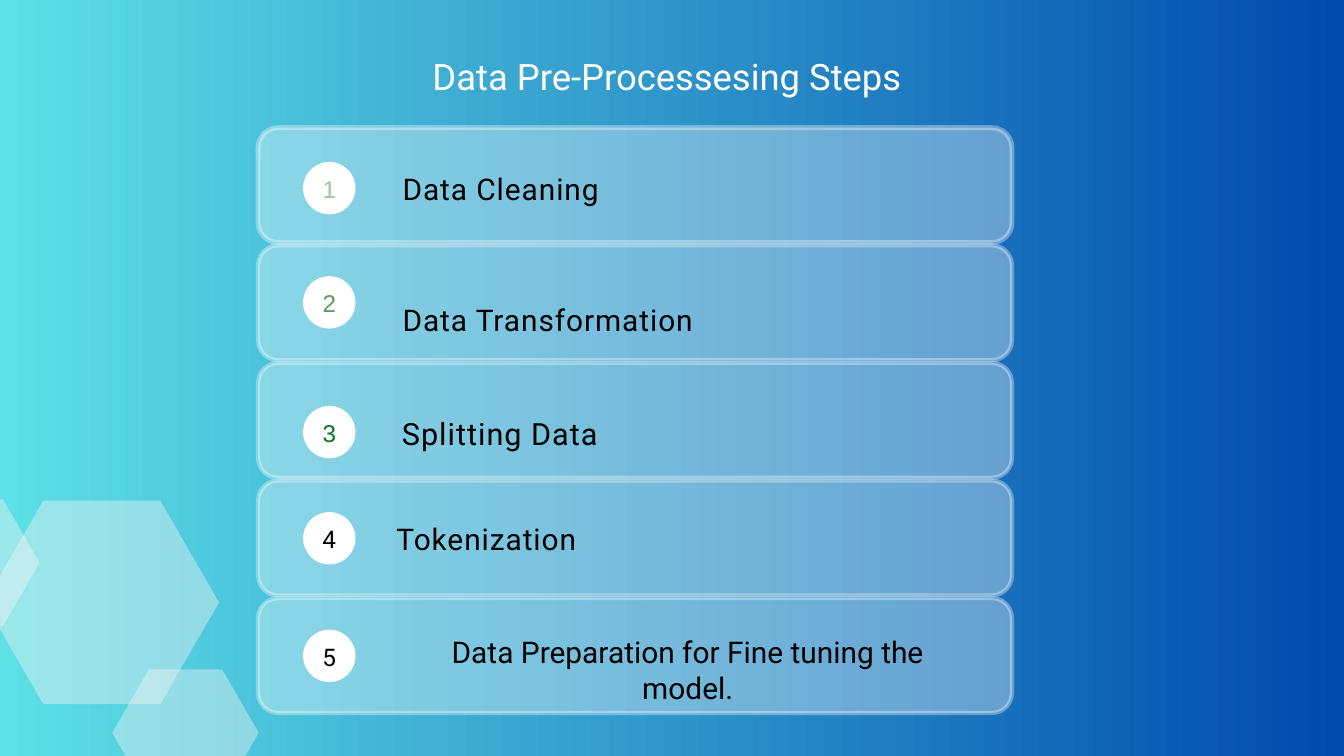
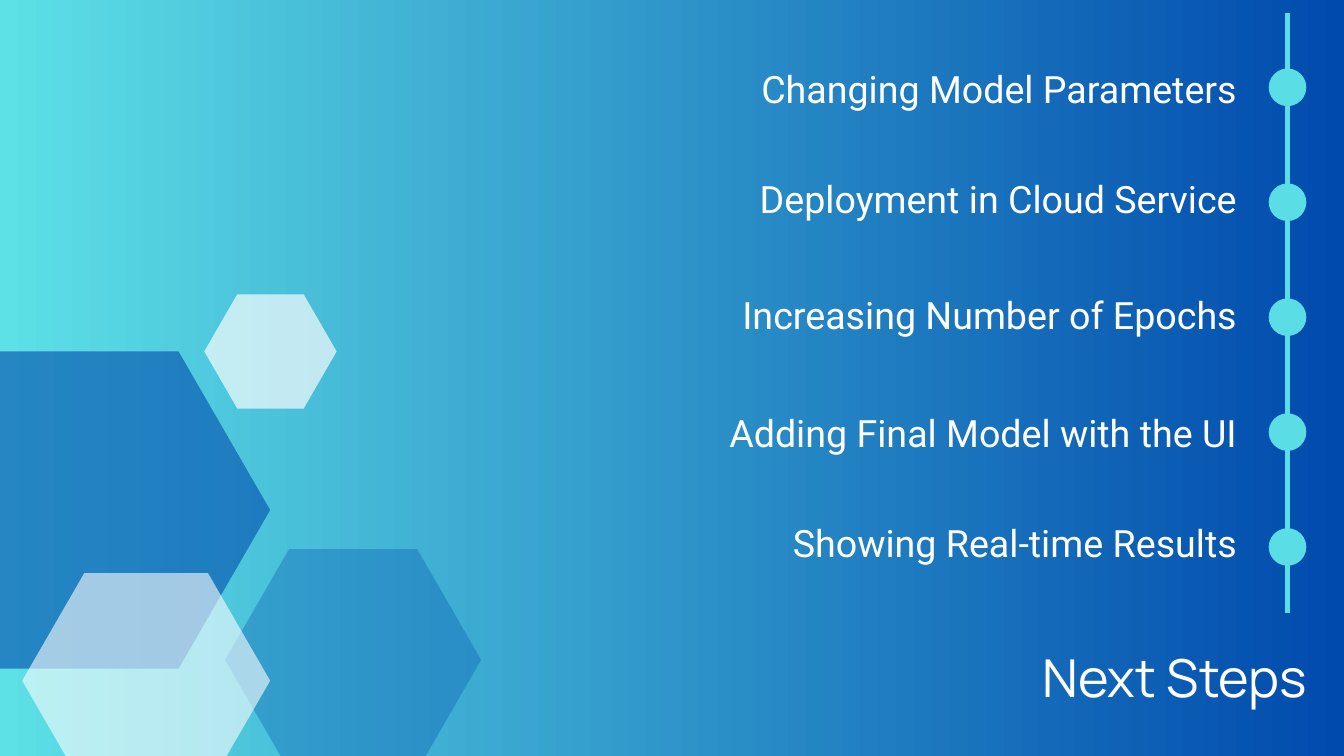
"""Build two slides: the data preparation steps and the next steps."""
from lxml import etree
from pptx import Presentation
from pptx import util as u
from pptx.dml.color import RGBColor
from pptx.enum import shapes, text
from pptx.oxml.ns import qn

COLUMNS, ROWS = 20, 11.25
MODULE = u.Inches(1)

AQUA = RGBColor(0x5D, 0xE0, 0xE6)
TIMELINE_AQUA = RGBColor(0x5B, 0xDD, 0xE5)
NAVY = RGBColor(0x00, 0x4A, 0xAD)
HEX_NAVY = RGBColor(0x02, 0x4E, 0xAE)
WHITE = RGBColor(0xFF, 0xFF, 0xFF)
MIST = RGBColor(0xF4, 0xF4, 0xF4)
BLACK = RGBColor(0, 0, 0)
PALE_GREEN = RGBColor(0x96, 0xC8, 0xA2)
MID_GREEN = RGBColor(0x57, 0x9B, 0x60)
DARK_GREEN = RGBColor(0x0D, 0x72, 0x1D)

LEFT, CENTER, RIGHT = text.PP_ALIGN.LEFT, text.PP_ALIGN.CENTER, text.PP_ALIGN.RIGHT
TOP, MIDDLE = text.MSO_ANCHOR.TOP, text.MSO_ANCHOR.MIDDLE
SHAPE = shapes.MSO_SHAPE

CARD_TOP, CARD_PITCH, CARD_HEIGHT = 1.9, 1.75, 1.71
CARD_LEFT, CARD_WIDTH, CARD_RADIUS = 3.84, 11.22, 0.3
BADGE_LEFT, BADGE_SIZE = 4.51, 0.78
DOT_TOP, DOT_PITCH, DOT_SIZE = 1.02, 1.71, 0.56
TIMELINE_X = 19.16

LABEL = dict(size=32, leading=44.8, tracking=1)
STEPS = [
    (2.41, PALE_GREEN, "Arial", "Data Cleaning", (5.99, 2.45), LABEL),
    (4.11, MID_GREEN, "Arial", "Data Transformation", (5.99, 4.4), LABEL),
    (6.04, DARK_GREEN, "Arial", "Splitting Data", (5.98, 6.08),
     dict(size=32.8, leading=46, tracking=1.1)),
    (7.62, BLACK, "Roboto", "Tokenization", (5.9, 7.66), LABEL),
    (9.37, BLACK, "Roboto", "Data Preparation for Fine tuning the model.",
     (5.99, 9.43), dict(size=32, leading=38.4, align=CENTER)),
]
NEXT_STEPS = [
    ("Changing Model Parameters", 0),
    ("Deployment in Cloud Service", 61.7),
    ("Increasing Number of Epochs", 67.4),
    ("Adding Final Model with the UI", 70.3),
    ("Showing Real-time Results", 61.7),
]
PALE_HEXAGONS = [(-0.23, 7.45, 3.49, 3.03), (1.67, 9.96, 2.18, 1.89),
                 (-1.59, 7.43, 2.18, 1.89)]
MIXED_HEXAGONS = [
    ((-1.43, 5.23, 5.45, 4.72), HEX_NAVY, 61),
    ((3.35, 8.17, 3.81, 3.3), HEX_NAVY, 32),
    ((3.04, 4.38, 1.97, 1.7), WHITE, 67),
    ((0.33, 8.53, 3.69, 3.2), WHITE, 59),
]


def grid(*modules):
    """Turn grid modules into slide lengths."""
    return [round(count * MODULE) for count in modules]


def paint(fill, color, opacity=100):
    """Fill with a solid colour at an opacity in percent."""
    fill.solid()
    fill.fore_color.rgb = color
    if opacity < 100:
        rgb = fill._xPr.find(".//" + qn("a:srgbClr"))
        etree.SubElement(rgb, qn("a:alpha"), val=str(opacity * 1000))


def write(frame, content, *, size, leading, color=BLACK, font="Roboto", align=LEFT,
          anchor=TOP, tracking=0, gap=0, more=False):
    """Write one formatted paragraph, after those already there if more is true."""
    frame.word_wrap = True
    frame.auto_size = text.MSO_AUTO_SIZE.NONE
    frame.vertical_anchor = anchor
    frame.margin_left = frame.margin_right = frame.margin_top = frame.margin_bottom = 0
    line = frame.add_paragraph() if more else frame.paragraphs[0]
    properties = line._p.get_or_add_pPr()
    properties.set("marL", "0")
    properties.set("indent", "0")
    etree.SubElement(properties, qn("a:buNone"))
    line.alignment = align
    line.line_spacing = u.Pt(leading)
    line.space_before = u.Pt(gap)
    run = line.add_run()
    run.text = content
    run.font.size = u.Pt(size)
    run.font.name = font
    run.font.color.rgb = color
    if tracking:
        run._r.get_or_add_rPr().set("spc", str(round(tracking * 100)))


def add_figure(slide, kind, box, color, opacity=100):
    """Add a flat preset shape without an outline."""
    figure = slide.shapes.add_shape(kind, *grid(*box))
    figure.shadow.inherit = False
    paint(figure.fill, color, opacity)
    figure.line.fill.background()
    return figure


def add_hexagon(slide, box, color, opacity):
    """Add a translucent regular hexagon."""
    add_figure(slide, SHAPE.HEXAGON, box, color, opacity).adjustments[0] = 0.2887


def add_card(slide, index):
    """Add the glassy card of one step."""
    box = (CARD_LEFT, CARD_TOP + index * CARD_PITCH, CARD_WIDTH, CARD_HEIGHT)
    card = add_figure(slide, SHAPE.ROUNDED_RECTANGLE, box, WHITE, 34)
    card.adjustments[0] = CARD_RADIUS / CARD_HEIGHT
    card.line.width = u.Pt(4.5 if index else 5.25)
    paint(card.line.fill, WHITE, 34)


def add_badge(slide, number, top, color, font):
    """Add the white disc that numbers a step."""
    badge = add_figure(slide, SHAPE.OVAL, (BADGE_LEFT, top, BADGE_SIZE, BADGE_SIZE), WHITE)
    write(badge.text_frame, str(number), size=26, leading=36.4, color=color,
          font=font, align=CENTER, anchor=MIDDLE)
    badge.text_frame.margin_bottom = u.Inches(0.05)


def add_label(slide, content, corner, style):
    """Add the name of a step."""
    label = slide.shapes.add_textbox(*grid(*corner, 8.49, 0.61))
    write(label.text_frame, content, **style)


def place(placeholder, box):
    """Move a placeholder to a box on the grid and return its text frame."""
    (placeholder.left, placeholder.top,
     placeholder.width, placeholder.height) = grid(*box)
    return placeholder.text_frame


def add_timeline(slide):
    """Add the vertical line with a dot for each next step."""
    ends = grid(TIMELINE_X, 0.19, TIMELINE_X, 9.12)
    spine = slide.shapes.add_connector(shapes.MSO_CONNECTOR.STRAIGHT, *ends)
    spine.line.width = u.Pt(5)
    paint(spine.line.fill, TIMELINE_AQUA)
    etree.SubElement(spine._element.spPr, qn("a:effectLst"))
    for index in range(len(NEXT_STEPS)):
        box = (TIMELINE_X - DOT_SIZE / 2, DOT_TOP + index * DOT_PITCH, DOT_SIZE, DOT_SIZE)
        add_figure(slide, SHAPE.OVAL, box, TIMELINE_AQUA)


def set_backdrop(master):
    """Give every slide the aqua to navy gradient."""
    backdrop = master.background.fill
    backdrop.gradient()
    backdrop.gradient_angle = 0
    for stop, color in zip(backdrop.gradient_stops, (AQUA, NAVY)):
        stop.color.rgb = color


def build_preprocessing(deck):
    """Build the slide of numbered data steps."""
    slide = deck.slides.add_slide(deck.slide_layouts.get_by_name("Title Only"))
    write(place(slide.shapes.title, (6.29, 0.8, 7.27, 0.65)), "Data Pre-Processesing Steps",
          size=39, leading=46.8, color=WHITE, align=CENTER)
    for index, (top, color, font, content, corner, style) in enumerate(STEPS):
        add_card(slide, index)
        add_badge(slide, index + 1, top, color, font)
        add_label(slide, content, corner, style)
    for box in PALE_HEXAGONS:
        add_hexagon(slide, box, MIST, 41)


def build_next_steps(deck):
    """Build the slide of next steps along a timeline."""
    slide = deck.slides.add_slide(deck.slide_layouts.get_by_name("Title and Content"))
    for box, color, opacity in MIXED_HEXAGONS:
        add_hexagon(slide, box, color, opacity)
    add_timeline(slide)
    plans = place(slide.placeholders[1], (8.43, 0.87, 9.98, 7.52))
    for index, (content, gap) in enumerate(NEXT_STEPS):
        write(plans, content, size=40.3, leading=56.4, color=WHITE, align=RIGHT,
              gap=gap, more=index > 0)
    write(place(slide.shapes.title, (10.2, 9.6, 9.25, 0.99)), "Next Steps",
          size=56, leading=67.2, color=WHITE, font="Manrope", align=RIGHT)


def main():
    """Build and save the presentation."""
    deck = Presentation()
    deck.slide_width, deck.slide_height = grid(COLUMNS, ROWS)
    set_backdrop(deck.slide_master)
    build_preprocessing(deck)
    build_next_steps(deck)
    deck.save("out.pptx")


if __name__ == "__main__":
    main()
